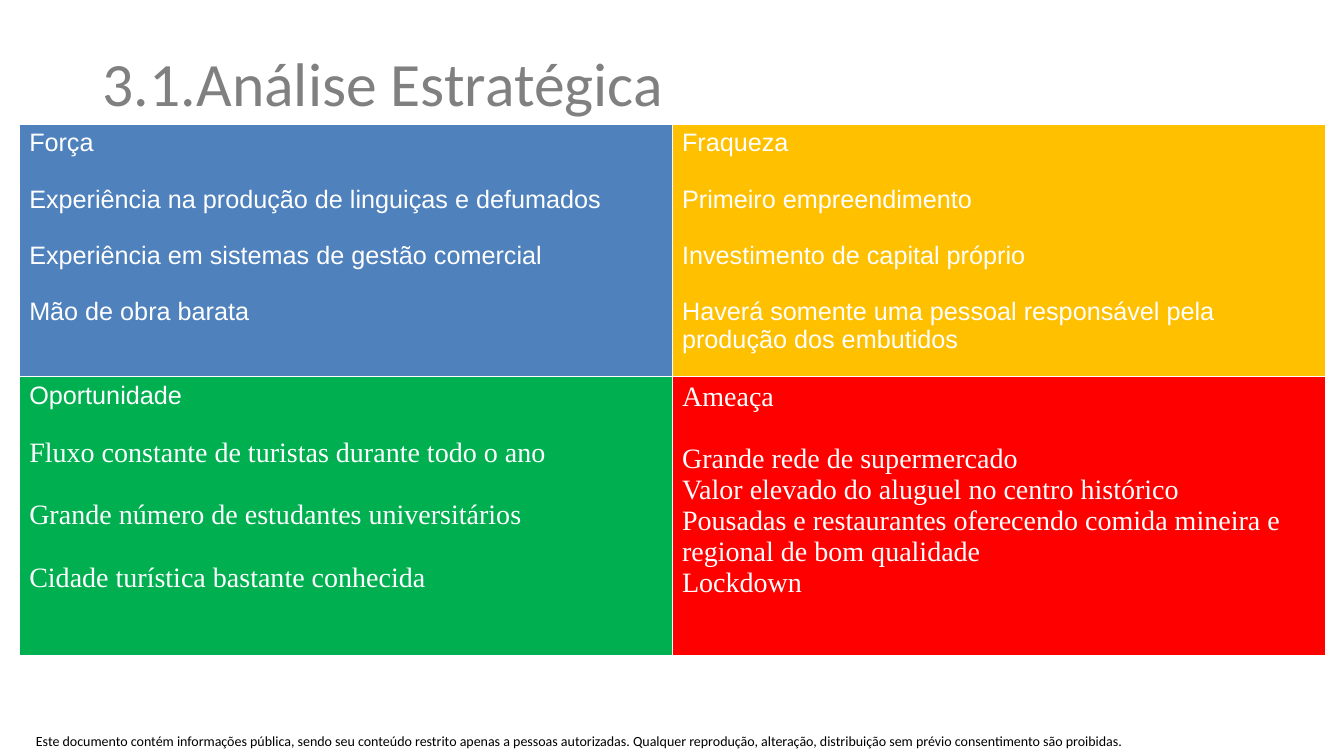
from lxml import etree
from pptx import Presentation, util as u
from pptx.dml.color import RGBColor
from pptx.enum import text
from pptx.oxml.ns import qn

ARIAL = ("Arial", 18)
TIMES = ("Times New Roman", 20)
WHITE = "FFFFFF"
QUADRANTS = [
    [
        ("4F81BD", [
            ("Força", ARIAL, 0),
            ("Experiência na produção de linguiças e defumados", ARIAL, 20),
            ("Experiência em sistemas de gestão comercial", ARIAL, 20),
            ("Mão de obra barata", ARIAL, 20),
        ]),
        ("FFC000", [
            ("Fraqueza", ARIAL, 0),
            ("Primeiro empreendimento", ARIAL, 20),
            ("Investimento de capital próprio", ARIAL, 20),
            ("Haverá somente uma pessoal responsável pela produção dos embutidos", ARIAL, 20),
        ]),
    ],
    [
        ("00B050", [
            ("Oportunidade", ARIAL, 0),
            ("Fluxo constante de turistas durante todo o ano", TIMES, 20),
            ("Grande número de estudantes universitários", TIMES, 22.3),
            ("Cidade turística bastante conhecida", TIMES, 22.3),
        ]),
        ("FF0000", [
            ("Ameaça", TIMES, 0),
            ("Grande rede de supermercado", TIMES, 22.3),
            ("Valor elevado do aluguel no centro histórico", TIMES, 0),
            ("Pousadas e restaurantes oferecendo comida mineira e regional de bom qualidade", TIMES, 0),
            ("Lockdown", TIMES, 0),
        ]),
    ],
]


def color(value):
    return RGBColor.from_string(value)


def write(para, words, font, ink):
    para.text = words
    para.font.name, size = font
    para.font.size = u.Pt(size)
    para.font.color.rgb = color(ink)


def add_line(page, box, words, font, ink, align, inset=(0, 0), spacing=None):
    frame = page.shapes.add_textbox(*map(u.Inches, box)).text_frame
    frame.word_wrap = True
    frame.vertical_anchor = text.MSO_ANCHOR.MIDDLE
    frame.margin_left = frame.margin_right = u.Inches(inset[0])
    frame.margin_top = frame.margin_bottom = u.Inches(inset[1])
    para = frame.paragraphs[0]
    para.alignment = align
    if spacing:
        para.line_spacing = spacing
    write(para, words, font, ink)


def add_borders(cell, ink, width):
    props = cell._tc.get_or_add_tcPr()
    for index, side in enumerate(("lnL", "lnR", "lnT", "lnB")):
        line = etree.Element(qn("a:" + side), w=str(u.Pt(width)))
        fill = etree.SubElement(line, qn("a:solidFill"))
        etree.SubElement(fill, qn("a:srgbClr"), val=ink)
        props.insert(index, line)


def fill_quadrant(cell, fill, lines):
    cell.fill.solid()
    cell.fill.fore_color.rgb = color(fill)
    add_borders(cell, WHITE, 0.06)
    frame = cell.text_frame
    for index, (words, font, gap) in enumerate(lines):
        para = frame.add_paragraph() if index else frame.paragraphs[0]
        para.space_before = u.Pt(gap)
        write(para, words, font, WHITE)


def add_swot(page, box, row_shares):
    table = page.shapes.add_table(2, 2, *map(u.Inches, box)).table
    for row, share in zip(table.rows, row_shares):
        row.height = u.Inches(box[3] * share)
    for r, quadrants in enumerate(QUADRANTS):
        for c, (fill, lines) in enumerate(quadrants):
            fill_quadrant(table.cell(r, c), fill, lines)


def build_slide(deck):
    page = deck.slides.add_slide(deck.slide_layouts[6])
    add_line(page, (0, 7.27, 11.48, 0.17),
             "Este documento contém informações pública, sendo seu conteúdo restrito "
             "apenas a pessoas autorizadas. Qualquer reprodução, alteração, distribuição "
             "sem prévio consentimento são proibidas.",
             ("Calibri", 10), "000000", text.PP_ALIGN.CENTER)
    add_line(page, (0.92, 0.15, 11.49, 1.42), "3.1.Análise Estratégica",
             ("Calibri", 44), "808080", text.PP_ALIGN.LEFT, (0.1, 0.05), 0.9)
    add_swot(page, (0.19, 1.23, 12.95, 5.27), (0.475, 0.525))


deck = Presentation()
deck.slide_width, deck.slide_height = u.Inches(13.33), u.Inches(7.5)
build_slide(deck)
deck.save("out.pptx")
